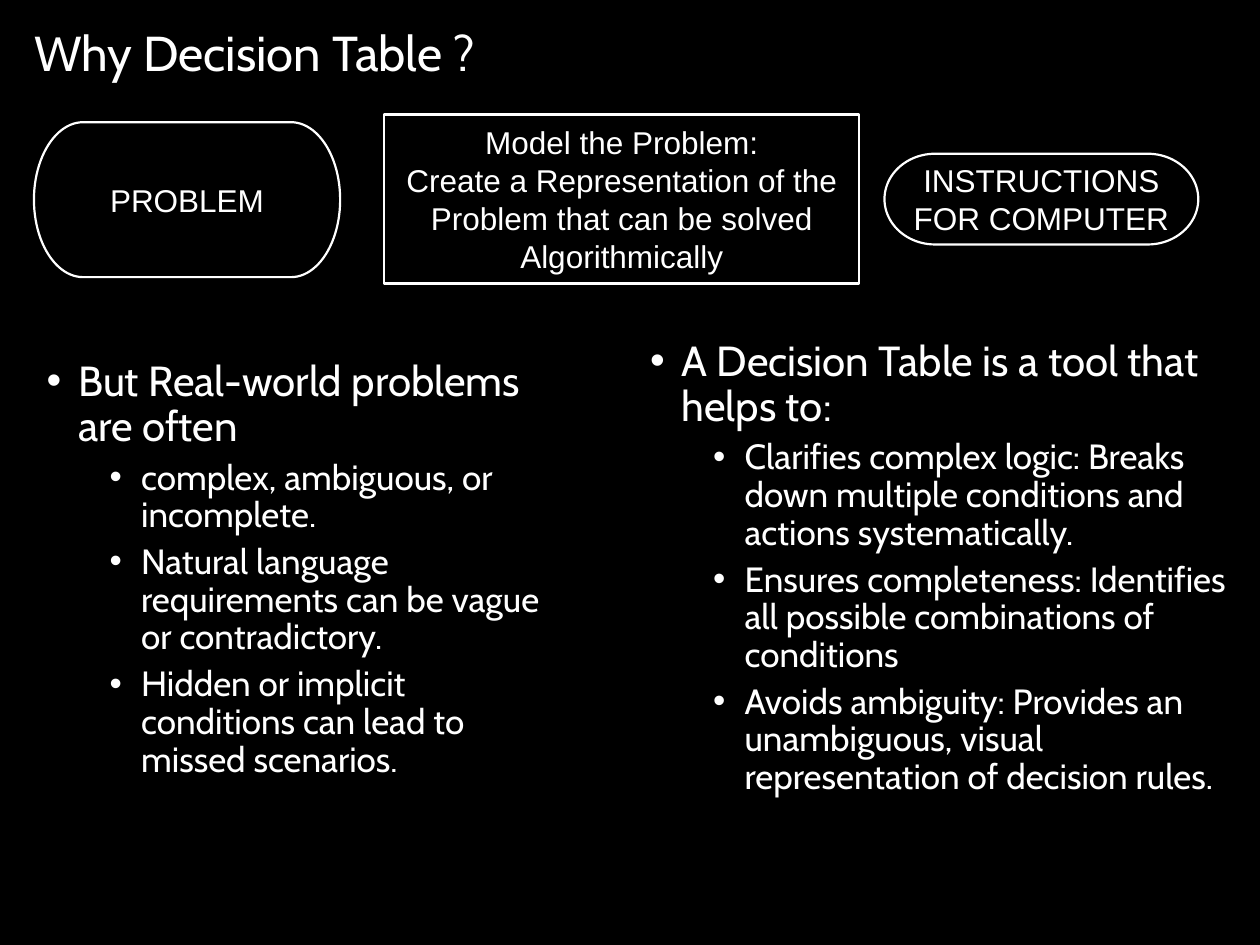
from lxml import etree
from pptx import Presentation
from pptx.dml.color import RGBColor
from pptx.enum.shapes import MSO_SHAPE
from pptx.enum.text import MSO_ANCHOR, MSO_AUTO_SIZE, PP_ALIGN
from pptx.oxml.ns import qn
from pptx.util import Inches, Pt

TERMINATOR = MSO_SHAPE.FLOWCHART_TERMINATOR
PROCESS = MSO_SHAPE.FLOWCHART_PROCESS
TOP, MIDDLE = MSO_ANCHOR.TOP, MSO_ANCHOR.MIDDLE
LEFT, CENTER = PP_ALIGN.LEFT, PP_ALIGN.CENTER
TWO_CONTENT_LAYOUT = 3

COLORS = {"background": "000000", "foreground": "FFFFFF"}
TITLE_FORMAT = {"alignment": LEFT, "line_spacing": 0.9}
LEVEL_FORMATS = [
    {"level": 0, "alignment": LEFT, "line_spacing": 0.9, "space_before": Pt(10)},
    {"level": 1, "alignment": LEFT, "line_spacing": 0.9, "space_before": Pt(5)},
]
LEVEL_SIZES = [24, 20]
LEVEL_INDENTS = [0.25, 0.75]
HANGING = 0.25

FLOW_STEPS = [
    (TERMINATOR, (0.27, 0.97, 2.43, 1.23), ["PROBLEM"]),
    (PROCESS, (3.05, 0.91, 3.77, 1.34), [
        "Model the Problem:",
        "Create a Representation of the Problem that can be solved Algorithmically",
    ]),
    (TERMINATOR, (7.02, 1.22, 2.49, 0.72), ["INSTRUCTIONS FOR COMPUTER"]),
]
PROBLEM_LIST = [
    "But Real-world problems are often",
    "complex, ambiguous, or incomplete.",
    "Natural language requirements can be vague or contradictory.",
    "Hidden or implicit conditions can lead to missed scenarios.",
]
BENEFIT_LIST = [
    "A Decision Table is a tool that helps to:",
    "Clarifies complex logic: Breaks down multiple conditions and actions systematically.",
    "Ensures completeness: Identifies all possible combinations of conditions",
    "Avoids ambiguity: Provides an unambiguous, visual representation of decision rules.",
]


def color(name):
    """Return the named colour."""
    return RGBColor.from_string(COLORS[name])


def apply_format(target, values):
    """Set each attribute of the target from a dict."""
    for name, value in values.items():
        setattr(target, name, value)


def place(shape, box):
    """Move and size a shape to a box in inches."""
    lengths = [Inches(value) for value in box]
    apply_format(shape, dict(zip(("left", "top", "width", "height"), lengths)))


def set_frame(shape, anchor):
    """Wrap the text at a fixed size, anchored as given."""
    apply_format(shape.text_frame, {
        "word_wrap": True,
        "auto_size": MSO_AUTO_SIZE.NONE,
        "vertical_anchor": anchor,
    })


def write(para, text, font, size, values):
    """Fill a paragraph with one formatted span."""
    apply_format(para, values)
    span = para.add_run()
    span.text = text
    apply_format(span.font, {"name": font, "size": Pt(size)})
    span.font.color.rgb = color("foreground")


def paragraphs(frame, count):
    """Return the given number of paragraphs in an empty frame."""
    return [frame.paragraphs[0]] + [frame.add_paragraph() for _ in range(count - 1)]


def add_bullet(para):
    """Give a paragraph a round bullet with a hanging indent."""
    properties = para._p.get_or_add_pPr()
    properties.set("marL", str(Inches(LEVEL_INDENTS[para.level])))
    properties.set("indent", str(-Inches(HANGING)))
    etree.SubElement(properties, qn("a:buFont")).set("typeface", "Arial")
    etree.SubElement(properties, qn("a:buChar")).set("char", "•")


def fill_title(title, box, text):
    """Place and write the slide title."""
    place(title, box)
    set_frame(title, MIDDLE)
    write(title.text_frame.paragraphs[0], text, "Cabin", 28, TITLE_FORMAT)


def fill_list(body, box, lines):
    """Place a list: a lead line followed by its sub-points."""
    place(body, box)
    set_frame(body, TOP)
    for index, para in enumerate(paragraphs(body.text_frame, len(lines))):
        level = min(index, 1)
        write(para, lines[index], "Cabin", LEVEL_SIZES[level], LEVEL_FORMATS[level])
        add_bullet(para)


def add_flow_step(page, kind, box, lines):
    """Draw one outlined step of the flow with centred text."""
    step = page.shapes.add_shape(kind, *[Inches(value) for value in box])
    step.shadow.inherit = False
    step.fill.solid()
    step.fill.fore_color.rgb = color("background")
    step.line.color.rgb = color("foreground")
    step.line.width = Pt(1.25)
    set_frame(step, MIDDLE)
    apply_format(step.text_frame, {
        "margin_left": Inches(0.1), "margin_right": Inches(0.1),
        "margin_top": Inches(0.05), "margin_bottom": Inches(0.05),
    })
    for para, line in zip(paragraphs(step.text_frame, len(lines)), lines):
        write(para, line, "Arial", 18, {"alignment": CENTER})


def main():
    """Build the slide and save the deck."""
    deck = Presentation()
    apply_format(deck, {"slide_width": Inches(10), "slide_height": Inches(7.5)})
    page = deck.slides.add_slide(deck.slide_layouts[TWO_CONTENT_LAYOUT])
    page.background.fill.solid()
    page.background.fill.fore_color.rgb = color("background")
    title, problems, benefits = page.placeholders
    fill_title(title, (0.17, 0.15, 7.48, 0.58), "Why Decision Table ?")
    fill_list(problems, (0.27, 2.81, 4.25, 3.72), PROBLEM_LIST)
    fill_list(benefits, (5.06, 2.65, 4.8, 4.76), BENEFIT_LIST)
    for kind, box, lines in FLOW_STEPS:
        add_flow_step(page, kind, box, lines)
    deck.save("out.pptx")


if __name__ == "__main__":
    main()
